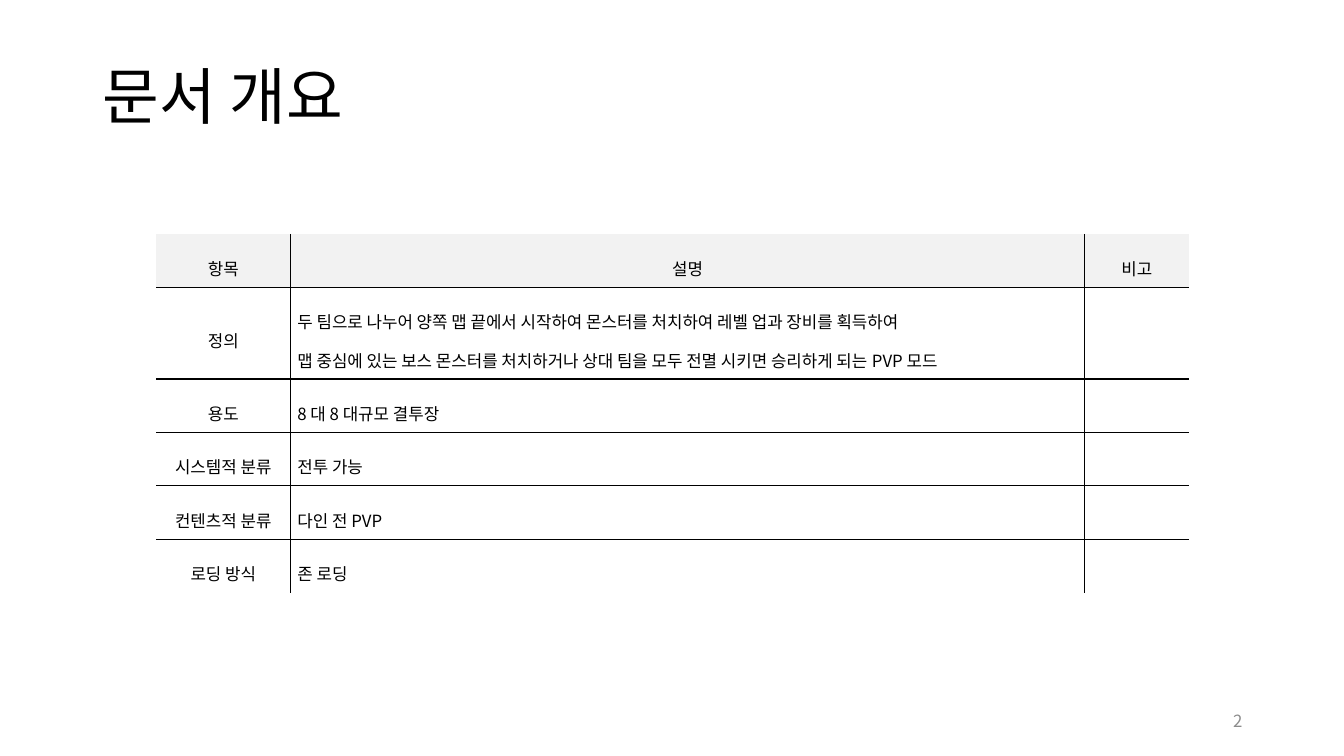
from pptx import Presentation
from pptx.dml.color import RGBColor
from pptx.enum.text import MSO_ANCHOR, PP_ALIGN
from pptx.oxml.ns import qn
from pptx.util import Inches, Pt
from lxml import etree

LEFT, CENTER, RIGHT, JUSTIFY = PP_ALIGN.LEFT, PP_ALIGN.CENTER, PP_ALIGN.RIGHT, PP_ALIGN.JUSTIFY
MIDDLE = MSO_ANCHOR.MIDDLE

COLUMN_WIDTHS = [1.33, 7.88, 1.03]
ROWS = [
    ("항목", "설명", "비고"),
    ("정의", "두 팀으로 나누어 양쪽 맵 끝에서 시작하여 몬스터를 처치하여 레벨 업과 장비를 획득하여\n"
             "맵 중심에 있는 보스 몬스터를 처치하거나 상대 팀을 모두 전멸 시키면 승리하게 되는 PVP 모드", ""),
    ("용도", "8 대 8 대규모 결투장", ""),
    ("시스템적 분류", "전투 가능", ""),
    ("컨텐츠적 분류", "다인 전 PVP", ""),
    ("로딩 방식", "존 로딩", ""),
]


def rgb(value):
    return RGBColor.from_string(value)


class Deck:
    font = "Noto Sans CJK KR"
    ink = "000000"
    muted = "8C8C8C"
    header = "F2F2F2"

    def __init__(self):
        self.prs = Presentation()
        self.prs.slide_width = Inches(13.33)
        self.prs.slide_height = Inches(7.5)
        self.s = self.prs.slides.add_slide(self.prs.slide_layouts[6])

    def set_text(self, tf, text, size, color, align, spacing):
        """Fill a text frame, one paragraph per line of text."""
        tf.text = text
        for p in tf.paragraphs:
            p.alignment = align
            p.line_spacing = spacing
            p.font.size = Pt(size)
            p.font.name = self.font
            p.font.color.rgb = rgb(color)
            defaults = p._p.pPr.find(qn("a:defRPr"))
            etree.SubElement(defaults, qn("a:ea"), typeface=self.font)

    def text(self, text, x, y, w, h, size, color, align=LEFT, spacing=1.0):
        tf = self.s.shapes.add_textbox(Inches(x), Inches(y), Inches(w), Inches(h)).text_frame
        tf.word_wrap = True
        tf.vertical_anchor = MIDDLE
        self.set_text(tf, text, size, color, align, spacing)

    def borders(self, cell, visible):
        """Draw the named sides of a cell and hide the others."""
        tcPr = cell._tc.get_or_add_tcPr()
        for i, side in enumerate("LRTB"):
            ln = etree.Element(qn(f"a:ln{side}"), w=str(Pt(1)))
            if side in visible:
                fill = etree.SubElement(ln, qn("a:solidFill"))
                etree.SubElement(fill, qn("a:srgbClr"), val=self.ink)
            else:
                etree.SubElement(ln, qn("a:noFill"))
            tcPr.insert(i, ln)

    def table(self, rows, widths, x, y, row_height, extra_line):
        """Add a table ruled on the inside only, with a shaded first row."""
        last_row, last_col = len(rows) - 1, len(widths) - 1
        heights = [row_height + extra_line * row[1].count("\n") for row in rows]
        table = self.s.shapes.add_table(len(rows), len(widths), Inches(x), Inches(y),
                                        Inches(sum(widths)), Inches(sum(heights))).table
        table.first_row = table.horz_banding = False
        for column, width in zip(table.columns, widths):
            column.width = Inches(width)
        for r, row in enumerate(rows):
            table.rows[r].height = Inches(heights[r])
            for c, text in enumerate(row):
                cell = table.cell(r, c)
                cell.vertical_anchor = MIDDLE
                cell.margin_left = cell.margin_right = Inches(0.07)
                cell.margin_top = cell.margin_bottom = Inches(0.07)
                if r == 0:
                    cell.fill.solid()
                    cell.fill.fore_color.rgb = rgb(self.header)
                else:
                    cell.fill.background()
                align = JUSTIFY if r > 0 and c == 1 else CENTER
                self.set_text(cell.text_frame, text, 12, self.ink, align, 1.6)
                inside = {"L": c > 0, "R": c < last_col, "T": r > 0, "B": r < last_row}
                self.borders(cell, [side for side in inside if inside[side]])


def main():
    deck = Deck()
    deck.text("문서 개요", 0.92, 0.4, 11.5, 1.17, 44, deck.ink, spacing=0.9)
    deck.text("2", 9.42, 6.95, 3, 0.4, 12, deck.muted, RIGHT)
    deck.table(ROWS, COLUMN_WIDTHS, 1.55, 2.32, row_height=0.53, extra_line=0.38)
    deck.prs.save("out.pptx")


if __name__ == "__main__":
    main()
